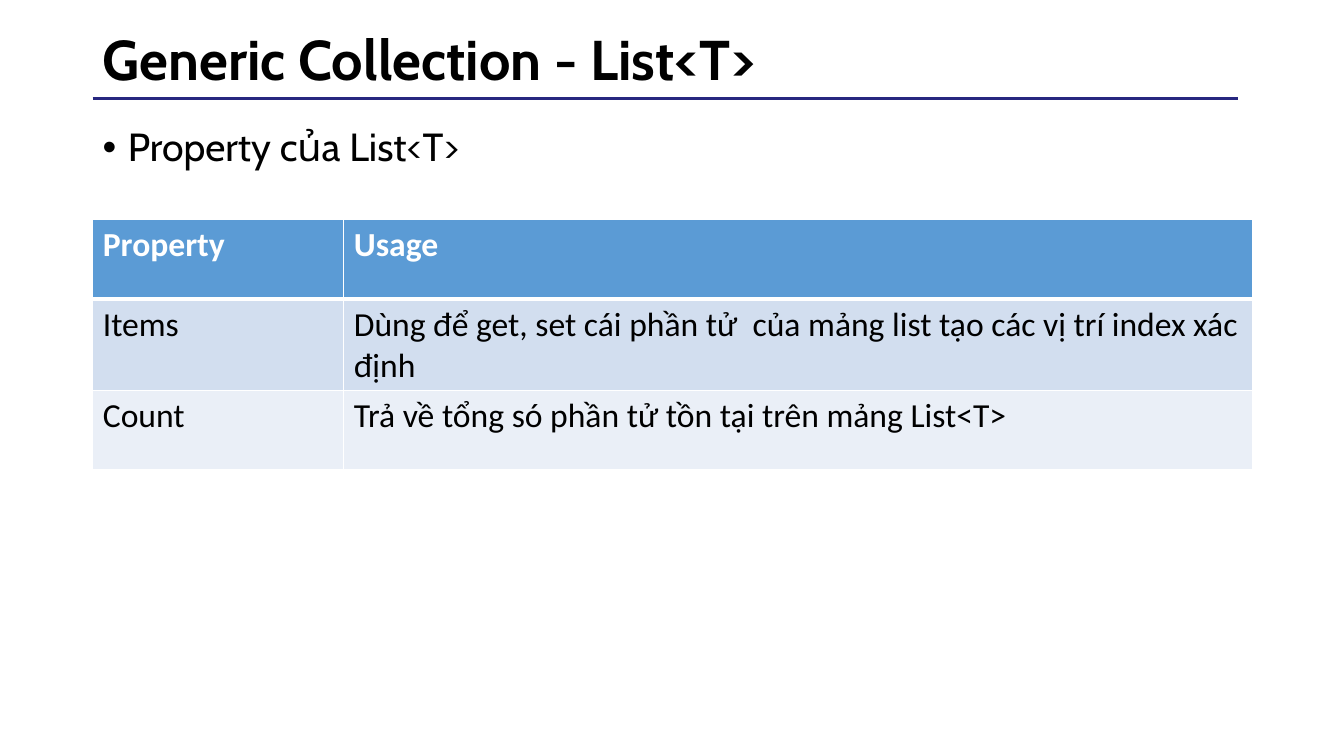
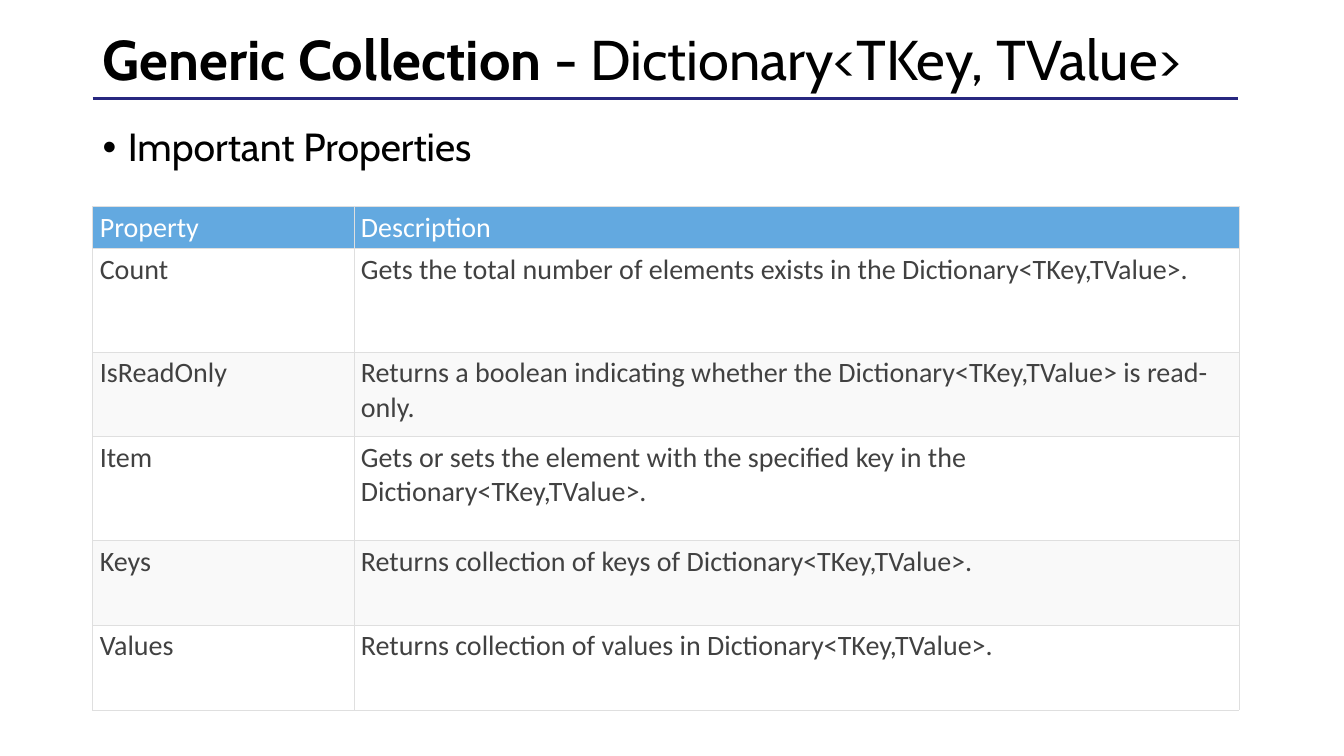
from lxml import etree
from pptx import Presentation
from pptx.dml.color import RGBColor
from pptx.enum import shapes, text
from pptx.oxml import ns
from pptx.util import Inches, Pt

HUES = {"ink": "000000", "rule": "272780", "white": "FFFFFF",
        "blue": "5B9BD5", "mist": "D2DEEF", "pale": "EAEFF7",
        "sky": "63A9E0", "gray": "414141", "snow": "F9F9F9", "edge": "DFDFDF"}
LEFT = 0.92
HEAD, BODY = "Cabin", "Calibri"

# Title parts are (text, bold); borders are (colour, points)
DECK = [
    {"title": [("Generic Collection - List<T>", True)],
     "point": "Property của List<T>",
     "top": 2.18, "cols": [2.49, 9.01], "heights": [0.79] * 3,
     "size": 24, "bold": True, "anchor": text.MSO_ANCHOR.TOP,
     "pad": (0.1, 0.05), "ink": "ink", "head": "blue",
     "bands": ["mist", "pale"], "edge": ("white", 1), "under": ("white", 3),
     "rows": [
         ("Property", "Usage"),
         ("Items", "Dùng để get, set cái phần tử  của mảng list tạo các vị trí index xác định"),
         ("Count", "Trả về tổng só phần tử tồn tại trên mảng List<T>")]},
    {"title": [("Generic Collection ", True), ("- Dictionary<TKey, TValue>", False)],
     "point": "Important Properties",
     "top": 2.05, "cols": [2.59, 8.78],
     "heights": [0.26, 1.03, 0.84, 1.03, 0.84, 0.84],
     "size": 20, "bold": False, "anchor": text.MSO_ANCHOR.BOTTOM,
     "pad": (0.07, 0.04), "ink": "gray", "head": "sky",
     "bands": ["white", "snow"], "edge": ("edge", 0.5), "under": ("edge", 0.5),
     "rows": [
         ("Property", "Description"),
         ("Count", "Gets the total number of elements exists in the Dictionary<TKey,TValue>."),
         ("IsReadOnly", "Returns a boolean indicating whether the Dictionary<TKey,TValue> is read-only."),
         ("Item", "Gets or sets the element with the specified key in the Dictionary<TKey,TValue>."),
         ("Keys", "Returns collection of keys of Dictionary<TKey,TValue>."),
         ("Values", "Returns collection of values in Dictionary<TKey,TValue>.")]},
]


def hue(name):
    return RGBColor.from_string(HUES[name])


def style(run, face, size, ink, bold=False):
    font = run.font
    font.name, font.size, font.bold = face, Pt(size), bold
    font.color.rgb = hue(ink)


def place(shape, left, top, width, height):
    shape.left, shape.top = Inches(left), Inches(top)
    shape.width, shape.height = Inches(width), Inches(height)


def add_rule(slide):
    rule = slide.shapes.add_connector(
        shapes.MSO_CONNECTOR.STRAIGHT,
        Inches(LEFT), Inches(0.98), Inches(12.28), Inches(0.98))
    rule.line.color.rgb = hue("rule")
    rule.line.width = Pt(2)
    etree.SubElement(rule._element.spPr, ns.qn("a:effectLst"))


def add_title(slide, parts):
    title = slide.shapes.title
    place(title, LEFT, 0.17, 11.5, 0.89)
    frame = title.text_frame
    frame.vertical_anchor = text.MSO_ANCHOR.MIDDLE
    frame.auto_size = text.MSO_AUTO_SIZE.NONE
    para = frame.paragraphs[0]
    para.alignment = text.PP_ALIGN.LEFT
    para.line_spacing = 0.9
    for words, bold in parts:
        run = para.add_run()
        run.text = words
        style(run, HEAD, 40, "ink", bold)


def add_point(slide, words):
    box = slide.shapes.add_textbox(
        Inches(LEFT), Inches(1.22), Inches(11.5), Inches(0.7))
    frame = box.text_frame
    frame.word_wrap = True
    para = frame.paragraphs[0]
    para.text = words
    para.line_spacing = 0.9
    para.space_before = Pt(10)
    style(para.runs[0], HEAD, 28, "ink")
    props = para._p.get_or_add_pPr()
    props.set("marL", str(Inches(0.25)))
    props.set("indent", str(-Inches(0.25)))
    etree.SubElement(props, ns.qn("a:buFont"), typeface="Arial")
    etree.SubElement(props, ns.qn("a:buChar"), char="•")


def set_edges(cell, edges):
    """Draw the borders, given in the order left, right, top, bottom."""
    props = cell._tc.get_or_add_tcPr()
    for i, (side, (ink, width)) in enumerate(zip("LRTB", edges)):
        line = etree.Element(ns.qn(f"a:ln{side}"), w=str(Pt(width)))
        fill = etree.SubElement(line, ns.qn("a:solidFill"))
        etree.SubElement(fill, ns.qn("a:srgbClr"), val=HUES[ink])
        props.insert(i, line)


def fill_cell(cell, words, r, data):
    top = r == 0
    cell.text = words
    style(cell.text_frame.paragraphs[0].runs[0], BODY, data["size"],
          "white" if top else data["ink"], top and data["bold"])
    cell.vertical_anchor = data["anchor"] if top else text.MSO_ANCHOR.TOP
    across, down = map(Inches, data["pad"])
    cell.margin_left = cell.margin_right = across
    cell.margin_top = cell.margin_bottom = down
    cell.fill.solid()
    cell.fill.fore_color.rgb = hue(data["head"] if top else data["bands"][(r - 1) % 2])
    edge, under = data["edge"], data["under"]
    set_edges(cell, [edge, edge, under if r == 1 else edge, under if top else edge])


def add_grid(slide, data):
    rows, cols, heights = data["rows"], data["cols"], data["heights"]
    table = slide.shapes.add_table(
        len(rows), len(cols), Inches(LEFT), Inches(data["top"]),
        Inches(sum(cols)), Inches(sum(heights))).table
    for col, width in zip(table.columns, cols):
        col.width = Inches(width)
    for r, (row, height) in enumerate(zip(table.rows, heights)):
        row.height = Inches(height)
        for cell, words in zip(row.cells, rows[r]):
            fill_cell(cell, words, r, data)


def main():
    deck = Presentation()
    deck.slide_width, deck.slide_height = Inches(13.33), Inches(7.5)
    for data in DECK:
        slide = deck.slides.add_slide(deck.slide_layouts[5])
        add_rule(slide)
        add_title(slide, data["title"])
        add_point(slide, data["point"])
        add_grid(slide, data)
    deck.save("out.pptx")


if __name__ == "__main__":
    main()
